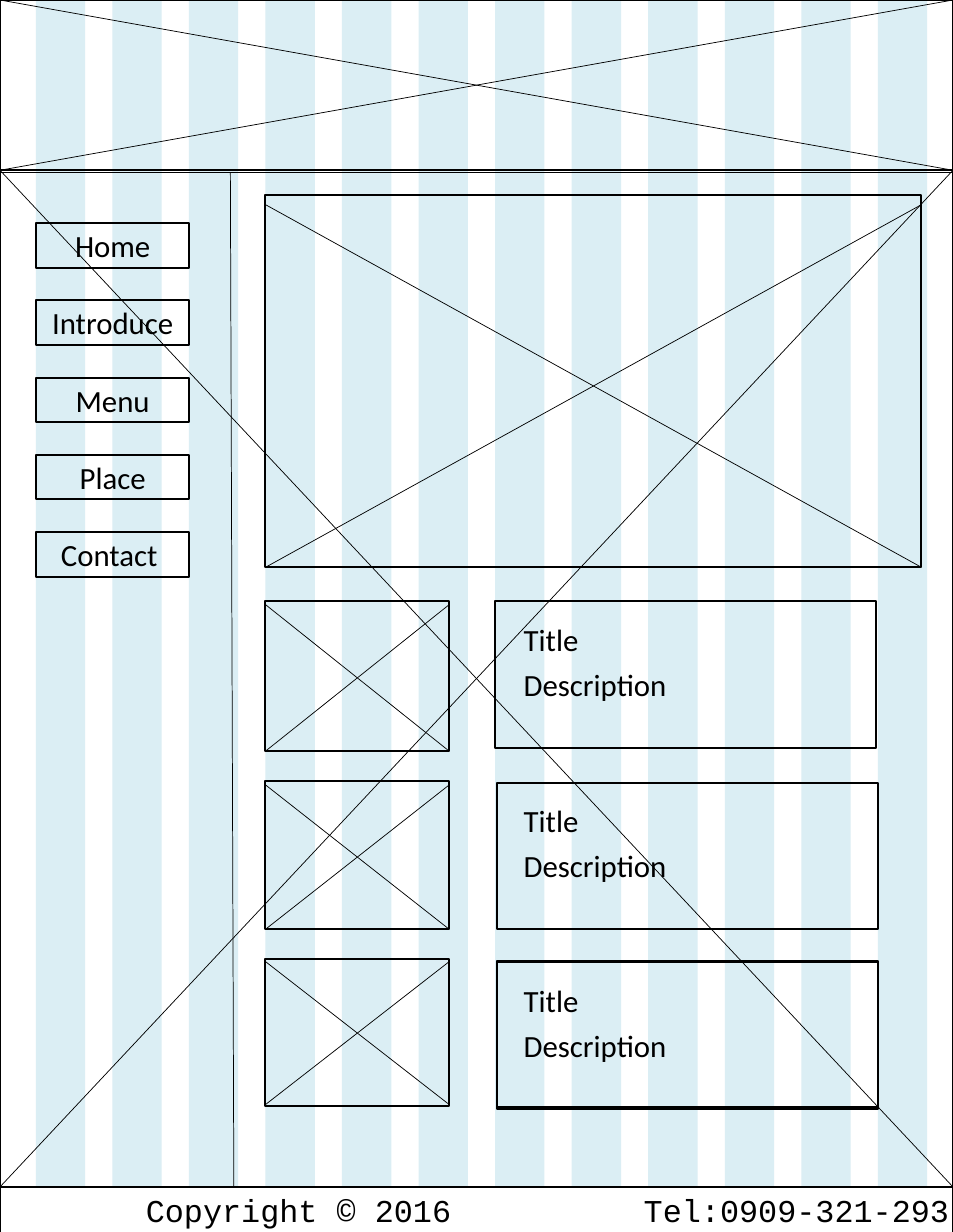
from lxml import etree
from pptx import Presentation
from pptx.dml.color import RGBColor
from pptx.enum.shapes import MSO_CONNECTOR, MSO_SHAPE
from pptx.enum.text import MSO_ANCHOR, MSO_AUTO_SIZE, PP_ALIGN
from pptx.oxml.ns import qn
from pptx.util import Inches, Pt

RECT, STRAIGHT = MSO_SHAPE.RECTANGLE, MSO_CONNECTOR.STRAIGHT
LEFT, CENTER, RIGHT = PP_ALIGN.LEFT, PP_ALIGN.CENTER, PP_ALIGN.RIGHT
TOP, MIDDLE = MSO_ANCHOR.TOP, MSO_ANCHOR.MIDDLE
FIT = MSO_AUTO_SIZE.SHAPE_TO_FIT_TEXT

WIDTH, HEIGHT = 13.32, 17.22
HEADER_H, FOOTER_TOP = 2.38, 16.59
CONTENT_X, COLUMN_GAP = 3.71, 1.07
BLACK, WHITE, STRIPE = "000000", "FFFFFF", "DBEEF4"
MARGINS = ("margin_left", "margin_right", "margin_top", "margin_bottom")


def color(value):
    return RGBColor.from_string(value)


def add_box(s, x, y, w, h, fill=None, outline=True):
    sp = s.shapes.add_shape(RECT, Inches(x), Inches(y), Inches(w), Inches(h))
    sp.shadow.inherit = False
    if fill:
        sp.fill.solid()
        sp.fill.fore_color.rgb = color(fill)
    else:
        sp.fill.background()
    if outline:
        sp.line.color.rgb = color(BLACK)
        sp.line.width = Pt(2)
    else:
        sp.line.fill.background()
    return sp


def add_line(s, x1, y1, x2, y2):
    line = s.shapes.add_connector(STRAIGHT, Inches(x1), Inches(y1), Inches(x2), Inches(y2))
    line.line.color.rgb = color(BLACK)
    line.line.width = Pt(0.75)
    etree.SubElement(line._element.spPr, qn("a:effectLst"))


def write(sp, text, align=LEFT, anchor=TOP, font="Calibri", size=31):
    tf = sp.text_frame
    frame_format = {"word_wrap": True, "auto_size": FIT, "vertical_anchor": anchor}
    frame_format.update({side: Inches(0.05) for side in MARGINS})
    for name, value in frame_format.items():
        setattr(tf, name, value)
    p = tf.paragraphs[0]
    p.alignment = align
    r = p.add_run()
    r.text = text
    for name, value in {"name": font, "size": Pt(size)}.items():
        setattr(r.font, name, value)
    r.font.color.rgb = color(BLACK)
    return p


def add_label(s, x, y, w, text):
    write(s.shapes.add_textbox(Inches(x), Inches(y), Inches(w), Inches(0.62)), text)


def add_placeholder(s, x, y, w, h, cross_top=0, cross_bottom=0):
    """Crossed box; the cross may start and end a little below the box edges."""
    add_box(s, x, y, w, h)
    top, bottom = y + cross_top, y + h + cross_bottom
    add_line(s, x, top, x + w, bottom)
    add_line(s, x, bottom, x + w, top)


def add_stripes(s, x, y, h):
    for i in range(12):
        add_box(s, x + i * COLUMN_GAP, y, 0.69, h, STRIPE, outline=False)


def add_footer(s, x, y, w, h):
    bar = add_box(s, x, y, w, h, WHITE)
    p = write(bar, "Copyright © 2016\t\tTel:0909-321-293", RIGHT, MIDDLE, "Courier New", 32)
    tabs = etree.SubElement(p._p.get_or_add_pPr(), qn("a:tabLst"))
    for pos in (5.22, 6.96):
        etree.SubElement(tabs, qn("a:tab"), pos=str(Inches(pos)), algn="l")


def add_menu(s, x, y, w):
    for i, item in enumerate(("Home", "Introduce", "Menu", "Place", "Contact ")):
        write(add_box(s, x, y + i * 1.08, w, 0.62), item, CENTER, MIDDLE)


def add_card(s, x, y, label_x):
    add_box(s, x, y, 5.33, 2.05)
    add_label(s, label_x, y + 0.22, 2, "Title")
    add_label(s, label_x, y + 0.85, 2.34, "Description")


def add_items(s, x):
    # Thumbnail top, height, cross offsets, then card left and top
    rows = (
        (8.4, 2.1, 0.05, 0, 6.92, 8.4),
        (10.91, 2.07, 0.06, 0.01, 6.94, 10.94),
        (13.41, 2.05, 0.03, -0.02, 6.94, 13.45),
    )
    for top, h, cross_top, cross_bottom, card_x, card_y in rows:
        add_placeholder(s, x, top, 2.57, h, cross_top, cross_bottom)
        add_card(s, card_x, card_y, 7.27)
    # Second outline that thickens the last card
    add_box(s, 6.94, 13.43, 5.33, 2.05)


def main():
    prs = Presentation()
    prs.slide_width, prs.slide_height = Inches(WIDTH), Inches(HEIGHT)
    s = prs.slides.add_slide(prs.slide_layouts[6])

    # Column grid and dividers
    add_stripes(s, 0.5, 0, HEIGHT)
    add_line(s, 3.22, 2.41, 3.27, 16.98)
    add_line(s, 0, 2.41, WIDTH, 2.41)

    # Footer, banner, menu and item list
    add_footer(s, 0, FOOTER_TOP, WIDTH, 0.64)
    add_placeholder(s, CONTENT_X, 2.73, 9.17, 5.2, 0.13)
    add_menu(s, 0.51, 3.12, 2.13)
    add_items(s, CONTENT_X)

    # Header and body areas
    add_placeholder(s, 0, 0, WIDTH, HEADER_H)
    add_placeholder(s, 0, HEADER_H, WIDTH, FOOTER_TOP - HEADER_H)

    prs.save("out.pptx")


if __name__ == "__main__":
    main()
